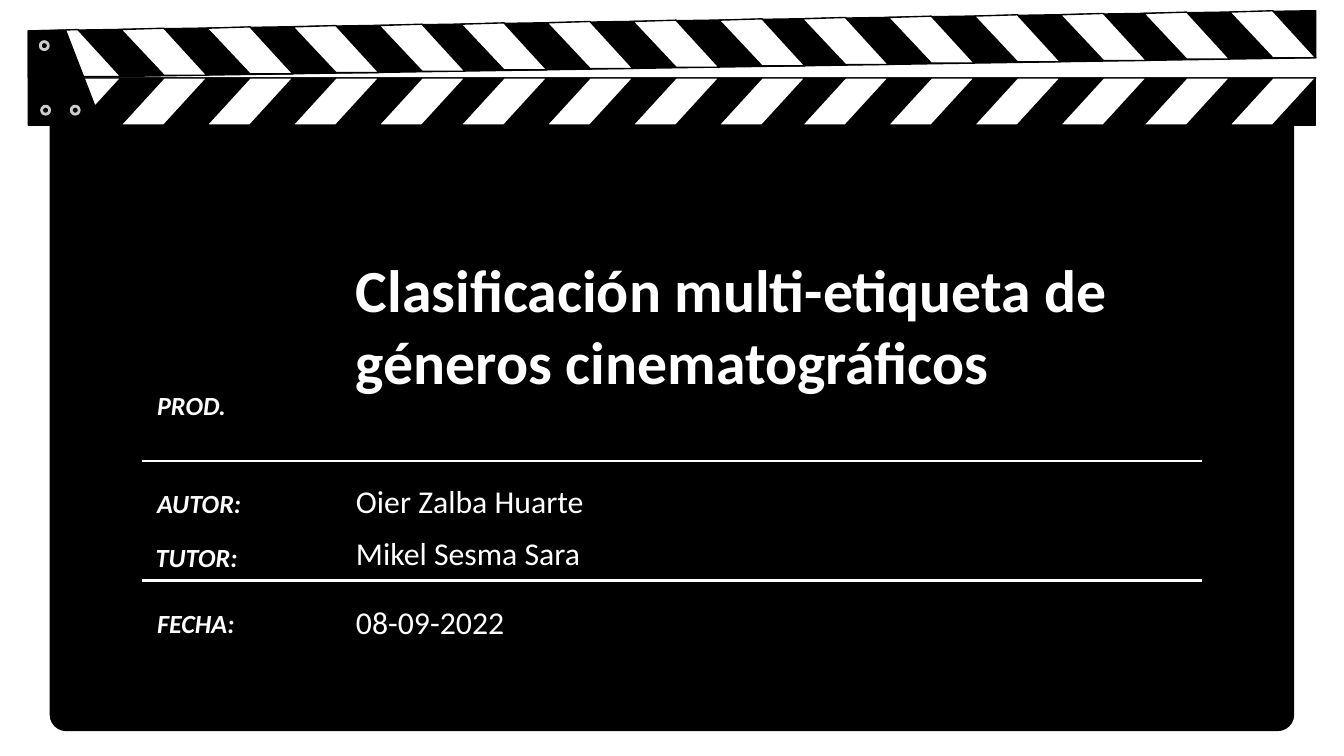
from lxml import etree
from pptx import Presentation
from pptx.dml.color import RGBColor
from pptx.enum.shapes import MSO_CONNECTOR, MSO_SHAPE
from pptx.enum.text import MSO_ANCHOR
from pptx.oxml.ns import qn
from pptx.util import Inches, Pt

STRAIGHT = MSO_CONNECTOR.STRAIGHT
ROUNDED, OVAL = MSO_SHAPE.ROUNDED_RECTANGLE, MSO_SHAPE.OVAL
TOP, MIDDLE = MSO_ANCHOR.TOP, MSO_ANCHOR.MIDDLE

COLORS = {"black": "000000", "white": "FFFFFF", "edge": "171717", "rivet": "CCCCCC"}
FORMATS = {
    "title": {"size": Pt(32), "bold": True},
    "label": {"size": Pt(14), "bold": True, "italic": True},
    "value": {"size": Pt(17)},
}

STRIPE_GROUPS = [(0.26, 5), (3.43, 4), (5.97, 4), (8.51, 2)]
STRIPE_STEP, STRIPE_WIDTH = 0.64, 0.32
BAR_LEFT, BAR_RIGHT, BAR_TOP, BAR_BOTTOM = 0.21, 9.79, 0.58, 0.93


def color(name):
    return RGBColor.from_string(COLORS[name])


class Clapperboard:
    """Holds the slide and the style shared by its elements."""

    font_name = "Calibri"

    def __init__(self, slide):
        self.slide = slide
        self.shapes = slide.shapes

    def style(self, shape, fill, line=None, width=0.75):
        shape.shadow.inherit = False
        shape.fill.solid()
        shape.fill.fore_color.rgb = color(fill)
        if line:
            shape.line.color.rgb = color(line)
            shape.line.width = Pt(width)
        else:
            shape.line.fill.background()

    def polygon(self, points, fill):
        start, *others = [(Inches(x), Inches(y)) for x, y in points]
        builder = self.shapes.build_freeform(*start)
        builder.add_line_segments(others, close=True)
        self.style(builder.convert_to_shape(), fill, "black")

    def board(self, left, top, width, height, rounding):
        board = self.shapes.add_shape(
            ROUNDED, Inches(left), Inches(top), Inches(width), Inches(height))
        board.adjustments[0] = rounding
        self.style(board, "black")

    def rivet(self, left, top, size=0.06):
        rivet = self.shapes.add_shape(
            OVAL, Inches(left), Inches(top), Inches(size), Inches(size))
        self.style(rivet, "black", "rivet", 1.5)

    def rule(self, left, right, y, line, width):
        rule = self.shapes.add_connector(
            STRAIGHT, Inches(left), Inches(y), Inches(right), Inches(y))
        rule.line.color.rgb = color(line)
        rule.line.width = Pt(width)
        etree.SubElement(rule._element.spPr, qn("a:effectLst"))

    def text(self, words, left, top, width, height, kind, anchor=MIDDLE):
        box = self.shapes.add_textbox(
            Inches(left), Inches(top), Inches(width), Inches(height))
        frame = box.text_frame
        frame.word_wrap = True
        frame.vertical_anchor = anchor
        for side in ("left", "top", "right", "bottom"):
            setattr(frame, f"margin_{side}", Inches(0.1))
        run = frame.paragraphs[0].add_run()
        run.text = words
        run.font.name = self.font_name
        run.font.color.rgb = color("white")
        for attribute, value in FORMATS[kind].items():
            setattr(run.font, attribute, value)


def main():
    presentation = Presentation()
    presentation.slide_width = Inches(10)
    presentation.slide_height = Inches(10) * 9 // 16
    slide = presentation.slides.add_slide(presentation.slide_layouts[6])
    clapper = Clapperboard(slide)
    stripe_lefts = [start + i * STRIPE_STEP
                    for start, count in STRIPE_GROUPS for i in range(count)]

    clapper.board(0.37, 0.72, 9.26, 4.72, 0.026)

    # Fixed lower bar
    clapper.polygon([(BAR_LEFT, BAR_TOP), (BAR_LEFT, BAR_BOTTOM),
                     (BAR_RIGHT, BAR_BOTTOM), (BAR_RIGHT, BAR_TOP)], "black")
    for x in stripe_lefts:
        middle, right = x + STRIPE_WIDTH, x + 2 * STRIPE_WIDTH
        clapper.polygon([(middle, BAR_TOP), (x, BAR_BOTTOM),
                         (middle, BAR_BOTTOM), (right, BAR_TOP)], "white")

    # Tilted upper arm, rising 0.01 with each stripe
    clapper.polygon([(BAR_RIGHT, 0.08), (BAR_LEFT, 0.23),
                     (BAR_LEFT, 0.58), (BAR_RIGHT, 0.43)], "black")
    for i, x in enumerate(stripe_lefts):
        middle, right = x + STRIPE_WIDTH, x + 2 * STRIPE_WIDTH
        top = 0.22 - 0.01 * i
        clapper.polygon([(middle, top), (x, top + 0.01),
                         (middle, top + 0.35), (right, top + 0.35)], "white")

    # Hinge
    clapper.rule(BAR_LEFT, BAR_RIGHT, BAR_TOP, "edge", 0.48)
    clapper.polygon([(BAR_LEFT, 0.23), (BAR_LEFT, BAR_BOTTOM),
                     (0.76, BAR_BOTTOM), (0.49, 0.23)], "black")
    for left, top in [(0.3, 0.31), (0.31, 0.79), (0.53, 0.79)]:
        clapper.rivet(left, top)

    # Credits
    clapper.text("Clasificación multi-etiqueta de géneros cinematográficos",
                 2.55, 1.45, 5.83, 1.93, "title")
    for label, left, top in [("PROD.", 1.07, 2.8), ("AUTOR:", 1.07, 3.53),
                             ("TUTOR:", 1.06, 3.93), ("FECHA:", 1.07, 4.42)]:
        clapper.text(label, left, top, 1.11, 0.29, "label", TOP)
    for value, top in [("Oier Zalba Huarte", 3.5), ("Mikel Sesma Sara", 3.89),
                       ("08-09-2022", 4.4)]:
        clapper.text(value, 2.55, top, 5.22, 0.45, "value")
    for y in (3.43, 4.32):
        clapper.rule(1.06, 8.94, y, "white", 1.5)

    presentation.save("out.pptx")


if __name__ == "__main__":
    main()
